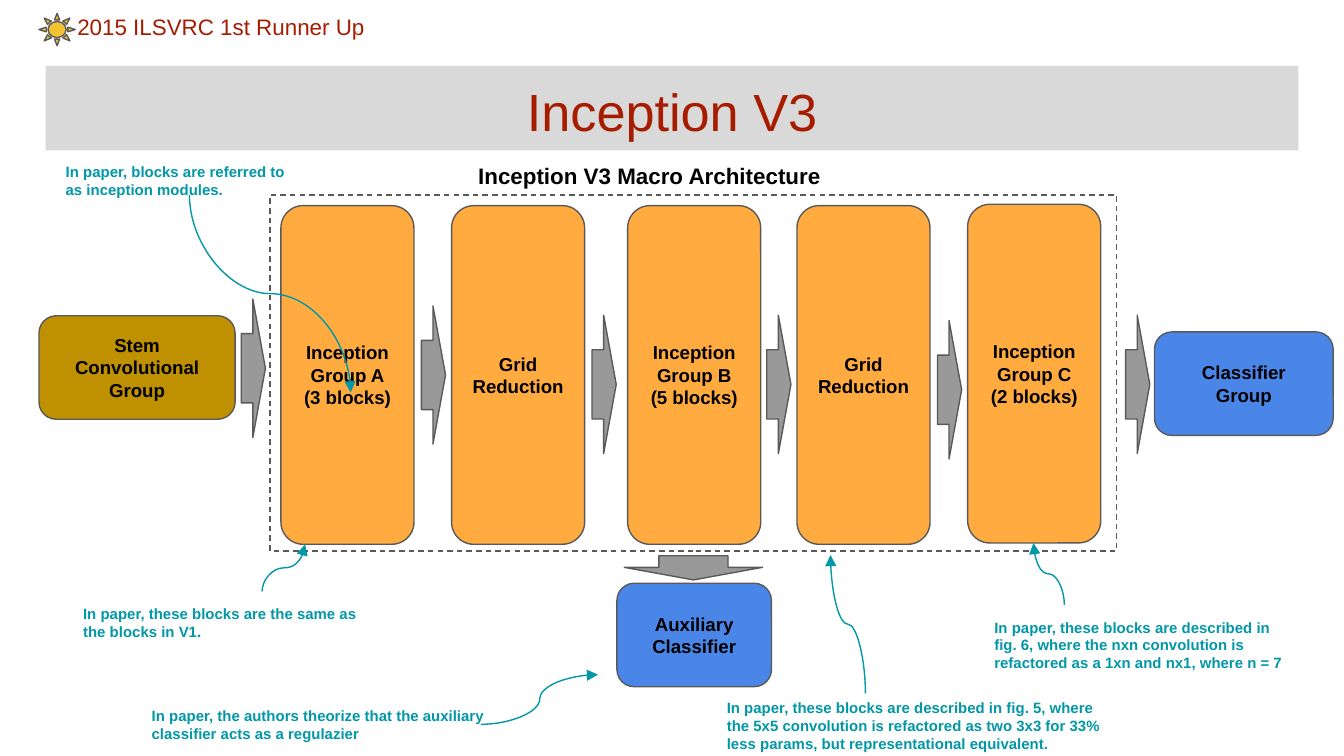
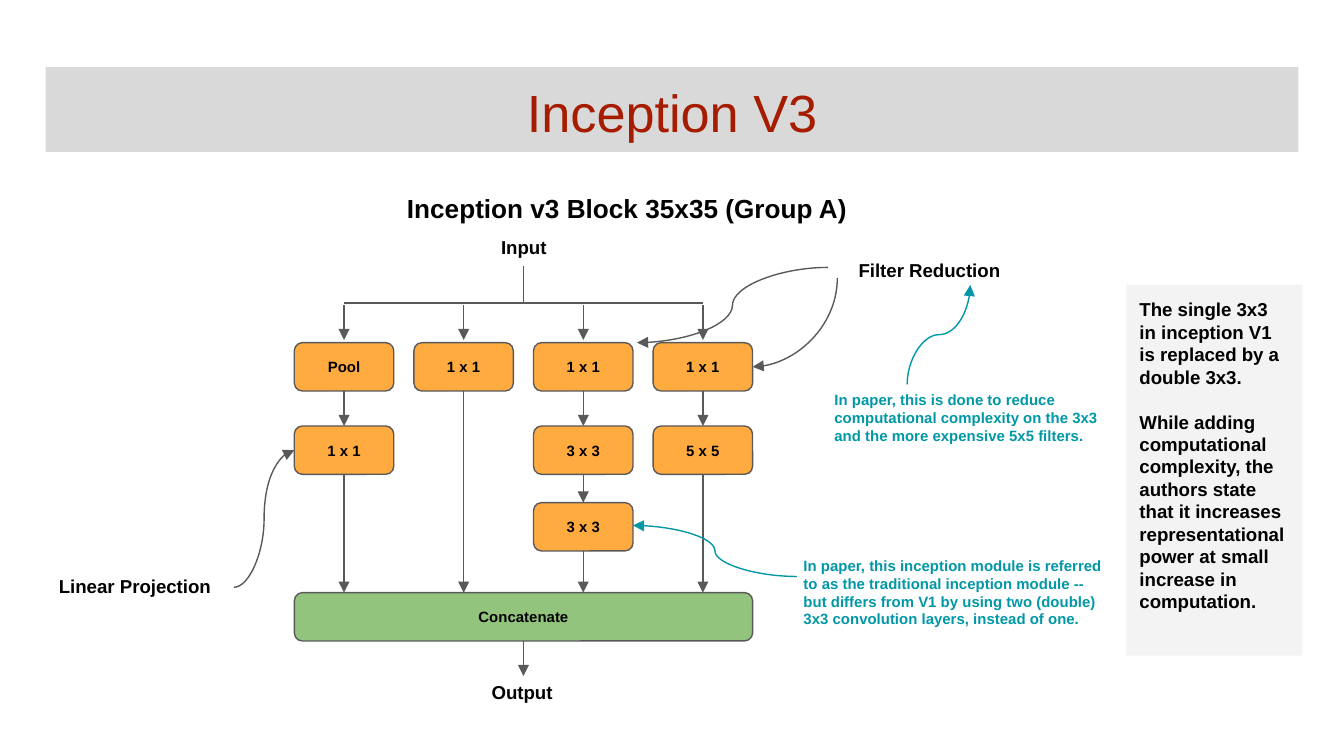
from dataclasses import dataclass

from lxml.etree import SubElement
from pptx import Presentation
from pptx.dml.color import RGBColor
from pptx.enum.dml import MSO_LINE_DASH_STYLE as Dash
from pptx.enum.shapes import MSO_CONNECTOR as Link, MSO_SHAPE as Form
from pptx.enum.text import MSO_ANCHOR as Anchor, PP_ALIGN as Align
from pptx.oxml.ns import qn
from pptx.util import Inches, Pt


@dataclass(frozen=True)
class Theme:
    font: str = "Arial"
    cell: float = 0.1
    cols: float = 100
    rows: float = 56.25
    red: str = "A61C00"
    band: str = "D9D9D9"
    pale: str = "F3F3F3"
    black: str = "000000"
    edge: str = "595959"
    gray: str = "999999"
    teal: str = "0097A7"
    amber: str = "FFAB40"
    gold: str = "BF9000"
    blue: str = "4A86E8"
    green: str = "93C47D"
    sun: str = "F1C232"
    title: float = 28
    head: float = 14
    sub: float = 12
    body: float = 10
    note: float = 8
    thin: float = 0.75


T = Theme()


def grid(*spans):
    return [Inches(span * T.cell) for span in spans]


def tint(name):
    return RGBColor.from_string(name)


def write(shape, words, size, color=T.black, bold=True, align=Align.LEFT,
          anchor=Anchor.TOP, gap=0):
    frame = shape.text_frame
    frame.word_wrap = True
    frame.vertical_anchor = anchor
    frame.margin_left = frame.margin_right = Inches(0.1)
    frame.margin_top = frame.margin_bottom = Inches(0.1)
    frame.text = words
    for rank, line in enumerate(frame.paragraphs):
        line.alignment = align
        if gap and rank:
            line.space_before = Pt(gap)
        for run in line.runs:
            run.font.name = T.font
            run.font.size = Pt(size)
            run.font.bold = bold
            run.font.color.rgb = tint(color)


def label(slide, area, words, size=T.body, **style):
    write(slide.shapes.add_textbox(*grid(*area)), words, size, **style)


def note(slide, area, words):
    label(slide, area, words, T.note, color=T.teal)


def draw(slide, form, area, fill=None, edge=T.edge):
    shape = slide.shapes.add_shape(form, *grid(*area))
    shape.shadow.inherit = False
    if fill:
        shape.fill.solid()
        shape.fill.fore_color.rgb = tint(fill)
    else:
        shape.fill.background()
    if edge:
        shape.line.color.rgb = tint(edge)
        shape.line.width = Pt(T.thin)
    else:
        shape.line.fill.background()
    return shape


def block(slide, area, words, fill=T.amber, size=T.body):
    shape = draw(slide, Form.ROUNDED_RECTANGLE, area, fill)
    write(shape, words, size, align=Align.CENTER, anchor=Anchor.MIDDLE)


def arrow(slide, mid_x, mid_y, turn=270):
    wide, high = 10.3, 1.8
    area = (mid_x - wide / 2, mid_y - high / 2, wide, high)
    shape = draw(slide, Form.DOWN_ARROW, area, T.gray)
    shape.adjustments[1] = 0.52
    shape.rotation = turn


def link(slide, start, end, color=T.edge, kind=Link.STRAIGHT, tip=True):
    line = slide.shapes.add_connector(kind, *grid(*start, *end))
    line.line.color.rgb = tint(color)
    line.line.width = Pt(T.thin)
    props = line.element.spPr
    if tip:
        SubElement(props.find(qn("a:ln")), qn("a:tailEnd"), type="triangle")
    SubElement(props, qn("a:effectLst"))
    return line


def curve(slide, start, end, color=T.teal):
    return link(slide, start, end, color, Link.CURVE)


def rise(slide, start, end, color=T.teal):
    (x1, y1), (x2, y2) = start, end
    mid_x, mid_y = (x1 + x2) / 2, (y1 + y2) / 2
    half_w, half_h = abs(y2 - y1) / 2, abs(x2 - x1) / 2
    right = x2 > x1
    if right == (y2 > y1):
        half_w = -half_w
    line = curve(slide, (mid_x - half_w, mid_y - half_h),
                 (mid_x + half_w, mid_y + half_h), color)
    line.rotation = 270 if right else 90
    return line


def start(deck, top):
    slide = deck.slides.add_slide(deck.slide_layouts[6])
    band = draw(slide, Form.RECTANGLE, (3.4, top, 93.2, 6.3), T.band, None)
    write(band, "Inception V3", T.title, T.red, False, Align.CENTER)
    return slide


def macro(deck):
    slide = start(deck, 4.9)
    label(slide, (0, 0, 32.9, 3.4), "2015 ILSVRC 1st Runner Up", T.sub,
          color=T.red, bold=False, align=Align.CENTER)
    draw(slide, Form.SUN, (2.9, 1, 2.7, 2.4), T.sun)
    frame = draw(slide, Form.RECTANGLE, (20.1, 14.5, 63, 26.5))
    frame.line.dash_style = Dash.DASH
    label(slide, (34.6, 11.1, 31, 3), "Inception V3 Macro Architecture", T.sub)

    for mid in ((18.85, 27.4), (32.25, 27.9), (44.95, 28.6),
                (57.95, 28.6), (70.65, 29), (84.65, 28.6)):
        arrow(slide, *mid)
    arrow(slide, 51.6, 42.25, 0)

    for left, top, words in (
            (20.9, 15.3, "Inception\nGroup A\n(3 blocks)"),
            (33.6, 15.3, "Grid\nReduction"),
            (46.7, 15.3, "Inception\nGroup B\n(5 blocks)"),
            (59.3, 15.3, "Grid\nReduction"),
            (72, 15.2, "Inception\nGroup C\n(2 blocks)")):
        block(slide, (left, top, 9.9, 25.2), words)
    for left, top, wide, words, fill in (
            (2.9, 23.5, 14.6, "Stem\nConvolutional\nGroup", T.gold),
            (85.9, 24.7, 13.3, "Classifier\nGroup", T.blue),
            (45.9, 43.4, 11.5, "Auxiliary\nClassifier", T.blue)):
        block(slide, (left, top, wide, 7.7), words, fill)

    note(slide, (3.9, 11.1, 19.2, 4.7),
         "In paper, blocks are referred to\nas inception modules.")
    note(slide, (5.2, 44, 23.2, 6.3),
         "In paper, these blocks are the same as the blocks in V1.")
    note(slide, (10.3, 51.6, 27.5, 5.2),
         "In paper, the authors theorize that the auxiliary classifier "
         "acts as a regulazier")
    note(slide, (53.1, 51, 30, 6.3),
         "In paper, these blocks are described in fig. 5, where the 5x5 "
         "convolution is refactored as two 3x3 for 33% less params, but "
         "representational equivalent.")
    note(slide, (73, 45, 24.2, 6.3),
         "In paper, these blocks are described in fig. 6, where the nxn "
         "convolution is refactored as a 1xn and nx1, where n = 7")

    for tail, tip in (((14.1, 14.5), (26.1, 29.2)),
                      ((19.5, 44), (22.7, 40.5)),
                      ((64.4, 51.6), (61.8, 41.3)),
                      ((79.2, 45), (76.9, 40.4))):
        rise(slide, tail, tip)
    curve(slide, (35.8, 53.9), (44.5, 50.2))


def module(deck):
    slide = start(deck, 5)
    left, step, wide, high = 21.9, 8.9, 7.4, 3.6
    tops = (25.5, 31.7, 37.4)
    base = 44.1
    lanes = (("Pool", "1 x 1"), ("1 x 1",),
             ("1 x 1", "3 x 3", "3 x 3"), ("1 x 1", "5 x 5"))
    mids = [left + step * lane + wide / 2 for lane in range(len(lanes))]
    hub = (mids[0] + mids[-1]) / 2

    link(slide, (hub, 19.8), (hub, 22.5), tip=False)
    link(slide, (mids[0], 22.55), (mids[-1], 22.55), tip=False)
    for mid, names in zip(mids, lanes):
        link(slide, (mid, 22.7), (mid, 25.3))
        stops = tops[1:len(names)] + (base,)
        for name, top, stop in zip(names, tops, stops):
            block(slide, (mid - wide / 2, top, wide, high), name, size=T.note)
            link(slide, (mid, top + high), (mid, stop))
    span = step * (len(lanes) - 1) + wide
    block(slide, (left, base, span, high), "Concatenate", T.green, T.note)
    link(slide, (hub, base + high), (hub, 50.3))

    label(slide, (29.3, 13.3, 38.6, 3.1),
          "Inception v3 Block 35x35 (Group A)", T.head)
    label(slide, (36.3, 16.7, 8.3, 2.9), "Input")
    label(slide, (35.6, 49.8, 8.3, 2.9), "Output")
    label(slide, (3.4, 41.9, 14, 3.4), "Linear Projection")
    label(slide, (62.9, 18.4, 14, 3.4), "Filter Reduction")

    curve(slide, (17.4, 43.7), (21.9, 33.5), T.edge)
    curve(slide, (61.6, 19.9), (47.4, 25.5), T.edge)
    bend = rise(slide, (62.3, 20.7), (56, 27.3), T.edge)
    bend.element.spPr.find(qn("a:prstGeom")).set("prst", "curvedConnector2")
    rise(slide, (67.5, 28.6), (72.2, 21.2))
    curve(slide, (59.3, 42.9), (47.1, 39.1))

    note(slide, (61.1, 28.1, 22.5, 7.4),
         "In paper, this is done to reduce computational complexity on the "
         "3x3 and the more expensive 5x5 filters.")
    note(slide, (58.8, 40.4, 24.2, 6.6),
         "In paper, this inception module is referred to as the traditional "
         "inception module --but differs from V1 by using two (double) 3x3 "
         "convolution layers, instead of one.")
    panel = draw(slide, Form.RECTANGLE, (83.8, 21.2, 13.1, 27.6), T.pale, None)
    write(panel, "The single 3x3 in inception V1 is replaced by a double 3x3.\n"
          "While adding computational complexity, the authors state that it "
          "increases representational power at small increase in "
          "computation.", T.body, gap=12)


def main():
    deck = Presentation()
    deck.slide_width, deck.slide_height = grid(T.cols, T.rows)
    macro(deck)
    module(deck)
    deck.save("out.pptx")


if __name__ == "__main__":
    main()
